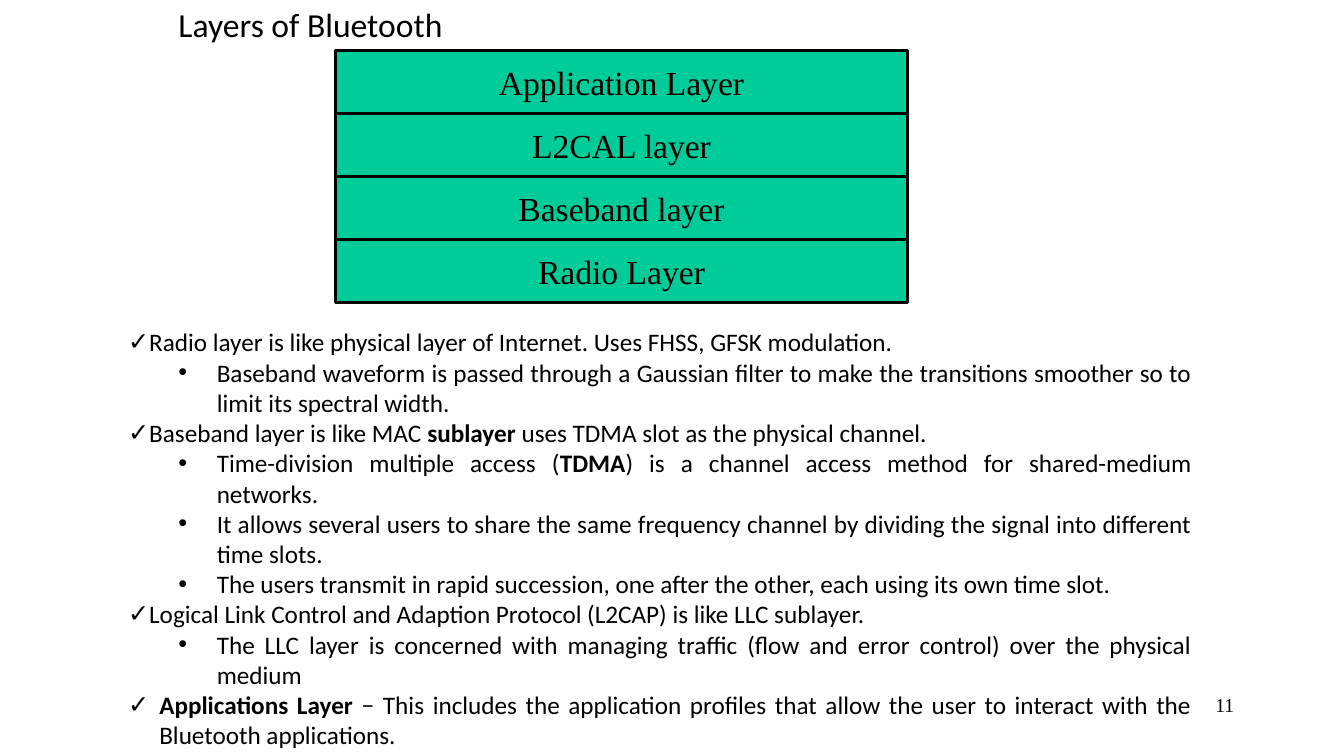
"""Build the slide on the layers of Bluetooth."""
from dataclasses import dataclass

from lxml import etree
from pptx import Presentation
from pptx.dml.color import RGBColor
from pptx.enum.shapes import MSO_SHAPE
from pptx.enum.text import MSO_ANCHOR, MSO_AUTO_SIZE, PP_ALIGN
from pptx.oxml.ns import qn
from pptx.util import Inches, Pt

RECTANGLE = MSO_SHAPE.RECTANGLE
TOP, MIDDLE = MSO_ANCHOR.TOP, MSO_ANCHOR.MIDDLE
GROW = MSO_AUTO_SIZE.SHAPE_TO_FIT_TEXT
LEFT, CENTER, RIGHT, JUSTIFY = PP_ALIGN.LEFT, PP_ALIGN.CENTER, PP_ALIGN.RIGHT, PP_ALIGN.JUSTIFY

COLORS = {"ink": "000000", "layer": "00CC99"}
SANS, SERIF = "Calibri", "Times New Roman"
STACK_LEFT, STACK_TOP, STACK_WIDTH, STACK_HEIGHT = 3.33, 0.5, 5.67, 2.5
LAYERS = ["Application Layer", "L2CAL layer", "Baseband layer", "Radio Layer"]
LAYER_HEIGHT = STACK_HEIGHT / len(LAYERS)


@dataclass(frozen=True)
class Point:
    """One bulleted point; every second phrase is bold."""

    phrases: tuple[str, ...]
    level: int = 0
    hanging: float = 0.0

    @property
    def bullet(self) -> str:
        """Return the mark for this level."""
        return "•" if self.level else "✓"

    @property
    def margin(self) -> float:
        """Return the left margin of the text in inches."""
        return self.level * 0.5 + self.hanging


def detail(*phrases: str) -> Point:
    """Return a second-level point."""
    return Point(phrases, level=1, hanging=0.38)


POINTS = [
    Point(("Radio layer is like physical layer of Internet. Uses FHSS, GFSK modulation.",)),
    detail("Baseband waveform is passed through a Gaussian filter to make the "
           "transitions smoother so to limit its spectral width."),
    Point(("Baseband layer is like MAC ", "sublayer",
           " uses TDMA slot as the physical channel.")),
    detail("Time-division multiple access (", "TDMA",
           ") is a channel access method for shared-medium networks."),
    detail("It allows several users to share the same frequency channel by "
           "dividing the signal into different time slots."),
    detail("The users transmit in rapid succession, one after the other, "
           "each using its own time slot."),
    Point(("Logical Link Control and Adaption Protocol (L2CAP) is like LLC sublayer.",)),
    detail("The LLC layer is concerned with managing traffic (flow and error "
           "control) over the physical medium"),
    Point(("", "Applications Layer",
           " − This includes the application profiles that allow the user to "
           "interact with the Bluetooth applications."), hanging=0.31),
]


def color(name: str) -> RGBColor:
    """Return the named colour."""
    return RGBColor.from_string(COLORS[name])


def add_run(paragraph, text: str, size: int, font: str, bold: bool = False) -> None:
    """Add one formatted run."""
    run = paragraph.add_run()
    run.text = text
    run.font.size = Pt(size)
    run.font.name = font
    run.font.bold = bold
    run.font.color.rgb = color("ink")


def place(shape, left: float, top: float, width: float, height: float) -> None:
    """Move and size a shape, in inches."""
    shape.left, shape.top = Inches(left), Inches(top)
    shape.width, shape.height = Inches(width), Inches(height)


def draw_title(title) -> None:
    """Fill the title placeholder."""
    place(title, 1.67, -0.01, 3.25, 0.4)
    frame = title.text_frame
    frame.vertical_anchor = TOP
    frame.auto_size = GROW
    heading = frame.paragraphs[0]
    heading.alignment = LEFT
    add_run(heading, "Layers of Bluetooth", 24, SANS)


def draw_layers(shapes) -> None:
    """Draw the protocol stack as a group of equal boxes."""
    stack = shapes.add_group_shape()
    for row, name in enumerate(LAYERS):
        layer = stack.shapes.add_shape(
            RECTANGLE, Inches(STACK_LEFT), Inches(STACK_TOP + row * LAYER_HEIGHT),
            Inches(STACK_WIDTH), Inches(LAYER_HEIGHT))
        layer.shadow.inherit = False
        layer.fill.solid()
        layer.fill.fore_color.rgb = color("layer")
        layer.line.color.rgb = color("ink")
        layer.line.width = Pt(2)
        layer.text_frame.vertical_anchor = MIDDLE
        label = layer.text_frame.paragraphs[0]
        label.alignment = CENTER
        add_run(label, name, 24, SERIF)


def format_point(paragraph, point: Point) -> None:
    """Set the level, indents and bullet of a paragraph."""
    paragraph.level = point.level
    paragraph.alignment = JUSTIFY
    paragraph.space_before = Pt(0)
    properties = paragraph._p.get_or_add_pPr()
    properties.set("marL", str(Inches(point.margin)))
    properties.set("indent", str(Inches(-point.hanging)))
    etree.SubElement(properties, qn("a:buFont"), typeface="Arial")
    etree.SubElement(properties, qn("a:buChar"), char=point.bullet)


def draw_points(body) -> None:
    """Fill the body placeholder with the bulleted points."""
    place(body, 1.17, 3.19, 10.75, 4.64)
    frame = body.text_frame
    frame.vertical_anchor = TOP
    frame.auto_size = GROW
    for index, point in enumerate(POINTS):
        paragraph = frame.add_paragraph() if index else frame.paragraphs[0]
        format_point(paragraph, point)
        for position, phrase in enumerate(point.phrases):
            if phrase:
                add_run(paragraph, phrase, 18, SANS, bold=position % 2 == 1)


def draw_page_number(shapes) -> None:
    """Write the page number at the lower right."""
    box = shapes.add_textbox(Inches(9.56), Inches(6.83), Inches(2.78), Inches(0.5))
    box.text_frame.word_wrap = True
    number = box.text_frame.paragraphs[0]
    number.alignment = RIGHT
    add_run(number, "11", 14, SERIF)


def main() -> None:
    """Create and save the presentation."""
    presentation = Presentation()
    presentation.slide_width, presentation.slide_height = Inches(13.33), Inches(7.5)
    slide = presentation.slides.add_slide(presentation.slide_layouts[1])
    draw_page_number(slide.shapes)
    draw_layers(slide.shapes)
    draw_title(slide.shapes.title)
    draw_points(slide.placeholders[1])
    presentation.save("out.pptx")


if __name__ == "__main__":
    main()
